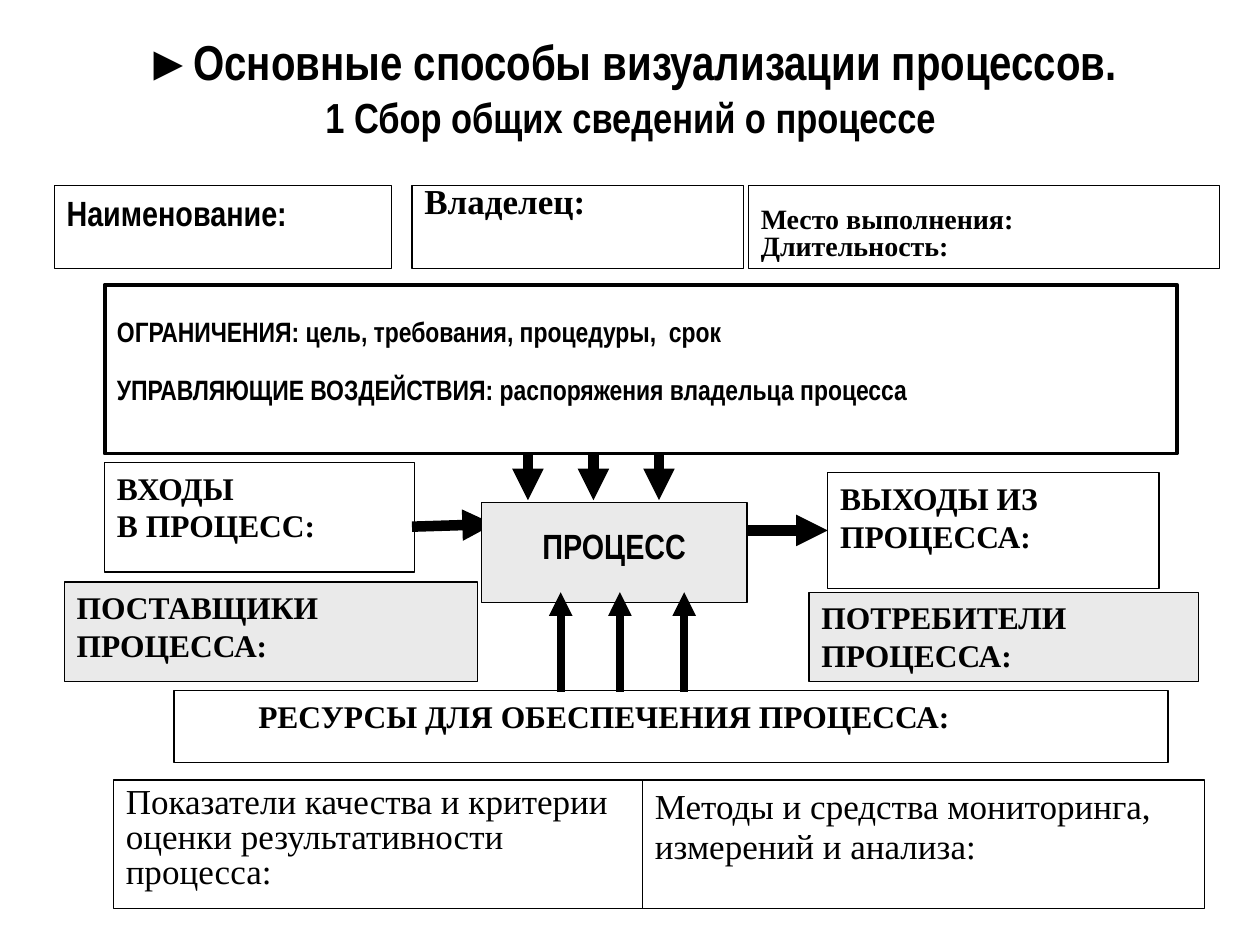
import pptx
import pptx.dml.color
import pptx.enum.shapes
import pptx.enum.text
import pptx.oxml.ns
import pptx.util
from lxml import etree

Inches = pptx.util.Inches
Pt = pptx.util.Pt
ALIGN = pptx.enum.text.PP_ALIGN
ANCHOR = pptx.enum.text.MSO_ANCHOR
BLACK = pptx.dml.color.RGBColor(0x00, 0x00, 0x00)
WHITE = pptx.dml.color.RGBColor(0xFF, 0xFF, 0xFF)
GRAY = pptx.dml.color.RGBColor(0xEA, 0xEA, 0xEA)
SANS = "Arial Narrow"
SERIF = "Times New Roman"


def write(tf, lines, sizes, font, bold=True, align=ALIGN.LEFT, spacings=None,
          gap=0, anchor=ANCHOR.TOP, left=0.1, top=0.05, bottom=0.05):
    """Fill a text frame with one paragraph per line; insets are in inches."""
    tf.word_wrap = True
    tf.auto_size = pptx.enum.text.MSO_AUTO_SIZE.NONE
    tf.vertical_anchor = anchor
    tf.margin_left, tf.margin_right = Inches(left), Inches(0.1)
    tf.margin_top, tf.margin_bottom = Inches(top), Inches(bottom)
    tf.text = "\n".join(lines)
    for i, p in enumerate(tf.paragraphs):
        p.alignment = align
        p.space_before = Pt(gap if i else 0)
        if spacings:
            p.line_spacing = spacings[i]
        for r in p.runs:
            r.font.name, r.font.size = font, Pt(sizes[i])
            r.font.bold, r.font.color.rgb = bold, BLACK


def add_box(s, box, lines, size, font=SERIF, fill=WHITE, line=0.75, **style):
    sp = s.shapes.add_shape(pptx.enum.shapes.MSO_SHAPE.RECTANGLE,
                            *(Inches(v) for v in box))
    sp.shadow.inherit = False
    sp.fill.solid()
    sp.fill.fore_color.rgb = fill
    sp.line.color.rgb, sp.line.width = BLACK, Pt(line)
    write(sp.text_frame, lines, [size] * len(lines), font, **style)
    return sp


def add_arrow(s, start, end, width):
    c = s.shapes.add_connector(pptx.enum.shapes.MSO_CONNECTOR.STRAIGHT,
                               *(Inches(v) for v in (*start, *end)))
    c.line.color.rgb, c.line.width = BLACK, Pt(width)
    qn = pptx.oxml.ns.qn
    etree.SubElement(c.line._get_or_add_ln(), qn("a:tailEnd"), type="triangle")
    etree.SubElement(c._element.spPr, qn("a:effectLst"))
    return c


def add_title(s, x, y, w, h):
    title = s.shapes.title
    title.left, title.top, title.width, title.height = map(Inches, (x, y, w, h))
    write(title.text_frame,
          ["►Основные способы визуализации процессов.",
           "1 Сбор общих сведений о процессе"],
          [28, 24], SANS, align=ALIGN.CENTER, spacings=[Pt(24)] * 2, gap=6,
          anchor=ANCHOR.MIDDLE)


def add_passport(s, x, y, h):
    """Name, owner, place and duration of the process."""
    add_box(s, (x, y, 2.68, h), ["Наименование:"], 20, SANS)
    add_box(s, (x + 2.84, y, 2.63, h), ["Владелец:"], 20, spacings=[0.7])
    add_box(s, (x + 5.51, y, 3.74, h), ["Место выполнения:", "Длительность:"],
            16, spacings=[0.8, 0.8], top=0.18)


def add_controls(s, x, y, w, h):
    add_box(s, (x, y, w, h),
            ["ОГРАНИЧЕНИЯ: цель, требования, процедуры,  срок",
             "УПРАВЛЯЮЩИЕ ВОЗДЕЙСТВИЯ: распоряжения владельца процесса"],
            16, SANS, line=2.25, spacings=[Pt(24), Pt(16)], gap=17,
            top=0.17, bottom=0)


def add_process(s, x, y, w, h):
    """Process with its inputs, outputs, suppliers, consumers and resources."""
    add_box(s, (x - 3.31, y + 0.63, 3.28, h), ["ПОСТАВЩИКИ ПРОЦЕССА:"], 18,
            fill=GRAY)
    add_box(s, (x + 2.6, y + 0.71, 3.09, 0.71), ["ПОТРЕБИТЕЛИ ПРОЦЕССА:"], 18,
            fill=GRAY)
    outputs = add_box(s, (x + 2.75, y - 0.24, 2.63, 0.92),
                      ["ВЫХОДЫ ИЗ", "ПРОЦЕССА:"], 18)
    add_box(s, (x - 2.99, y - 0.32, 2.46, 0.87), ["ВХОДЫ", "В ПРОЦЕСС:"], 18)
    to_outputs = add_arrow(s, (x + w, y + 0.22), (x + 2.75, y + 0.22), 6)
    to_outputs.end_connect(outputs, 1)
    add_arrow(s, (x - 0.55, y + 0.19), (x + 0.1, y + 0.17), 6)
    add_box(s, (x, y, w, h), ["ПРОЦЕСС"], 20, SANS, fill=GRAY,
            align=ALIGN.CENTER, top=0.17)
    add_box(s, (x - 2.44, y + 1.49, 7.89, 0.57),
            ["РЕСУРСЫ ДЛЯ ОБЕСПЕЧЕНИЯ ПРОЦЕССА:"], 18, left=0.67)
    for dx in (0.63, 1.1, 1.61):
        add_arrow(s, (x + dx, y + 1.5), (x + dx, y + 0.71), 4.5)
    for i in range(3):
        dx = 0.37 + 0.52 * i
        add_arrow(s, (x + dx, y - 0.4), (x + dx, y - 0.02), 6)


def add_monitoring(s, x, y, h):
    add_box(s, (x, y, 4.2, h),
            ["Показатели качества и критерии оценки результативности процесса:"],
            20, bold=False, spacings=[Pt(20)])
    add_box(s, (x + 4.2, y, 4.46, h),
            ["Методы и средства мониторинга, измерений и анализа:"],
            20, bold=False, spacings=[Pt(23)])


def main():
    prs = pptx.Presentation()
    prs.slide_width, prs.slide_height = Inches(10), Inches(7.5)
    s = prs.slides.add_slide(prs.slide_layouts[5])
    add_title(s, 0.83, 0.28, 8.35, 0.95)
    add_passport(s, 0.43, 1.47, 0.66)
    add_controls(s, 0.83, 2.26, 8.51, 1.34)
    add_process(s, 3.82, 3.99, 2.11, 0.79)
    add_monitoring(s, 0.9, 6.19, 1.02)
    prs.save("out.pptx")


if __name__ == "__main__":
    main()
